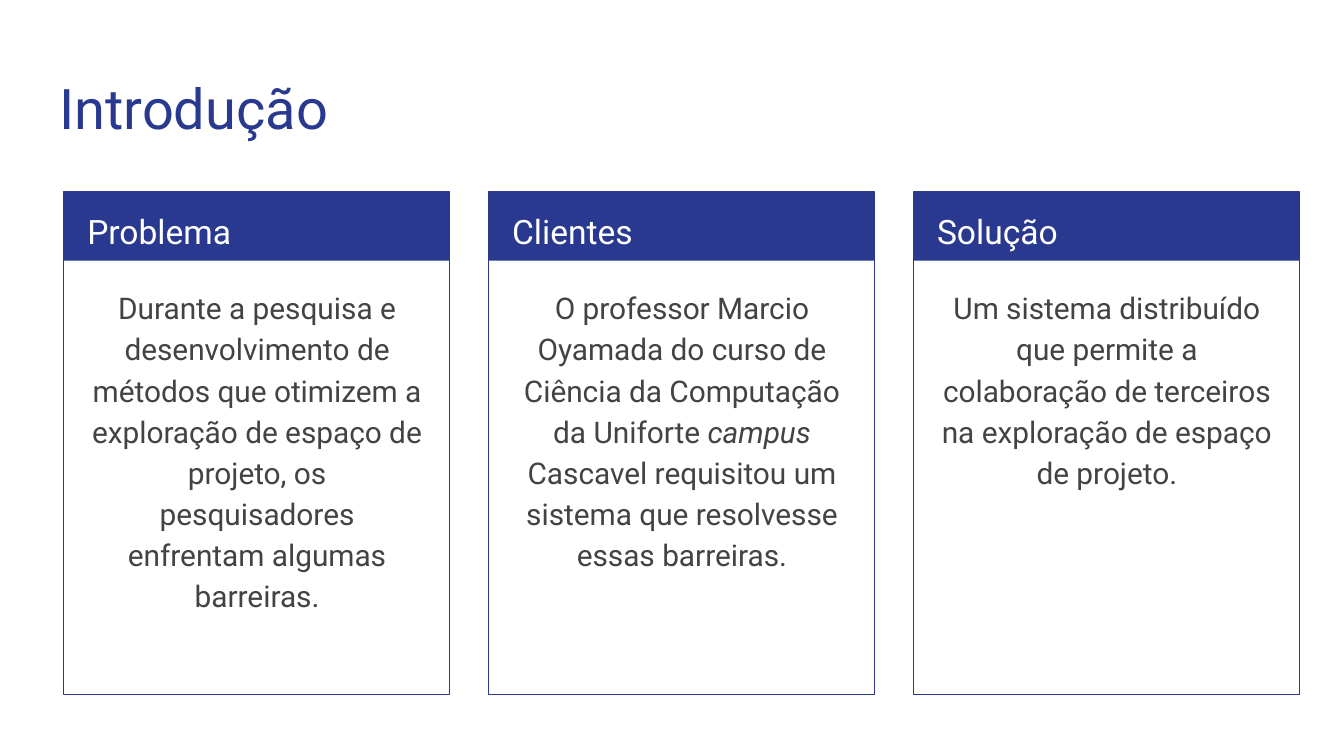
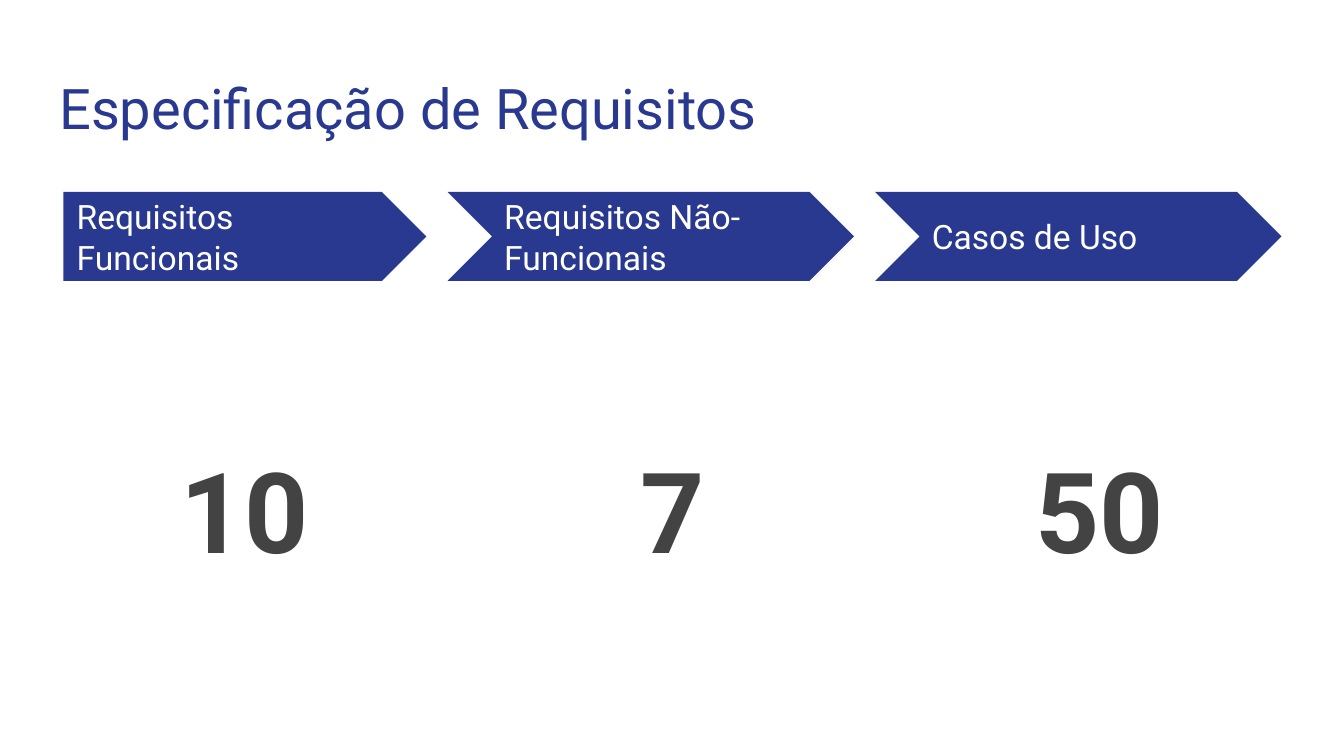
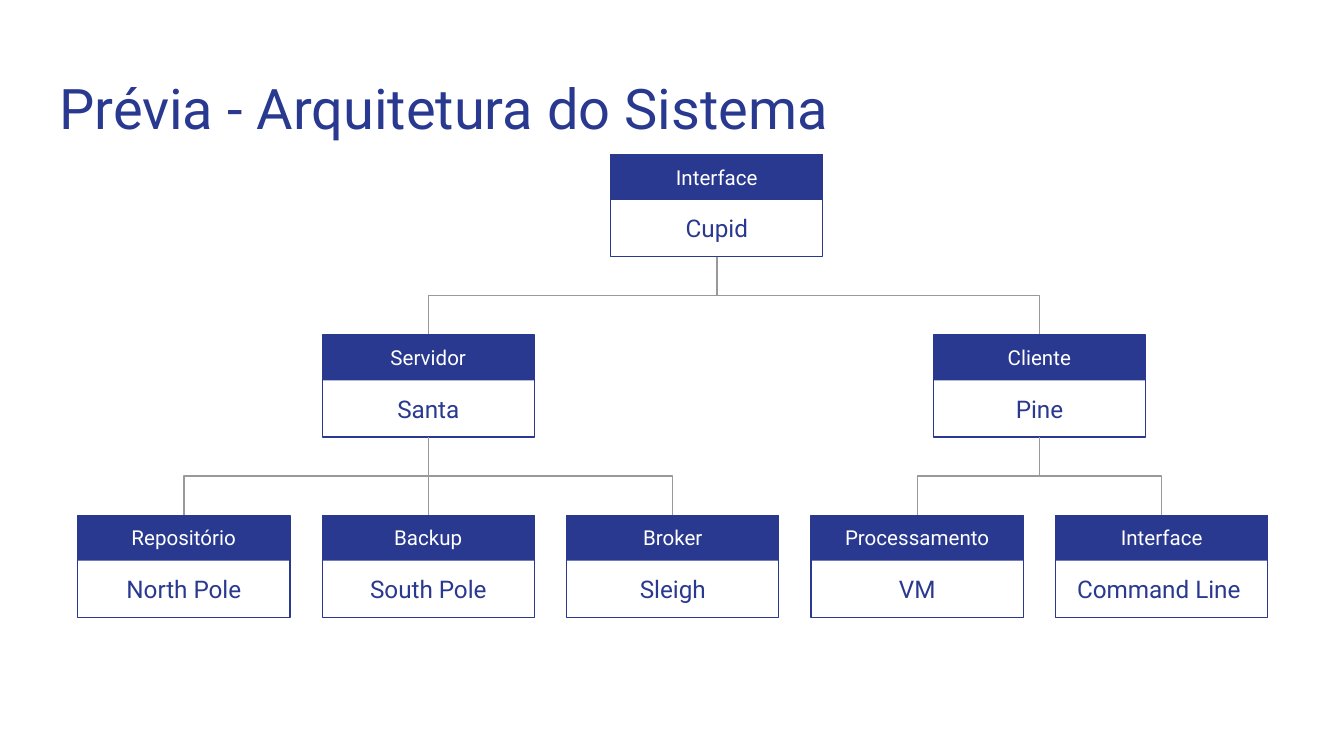
import pptx
import pptx.util
import pptx.dml.color
import pptx.enum.shapes
import pptx.enum.text
import pptx.oxml.ns
import lxml.etree

Cm = pptx.util.Cm
Pt = pptx.util.Pt
SHAPE = pptx.enum.shapes.MSO_SHAPE
CONNECTOR = pptx.enum.shapes.MSO_CONNECTOR
ANCHOR = pptx.enum.text.MSO_ANCHOR
ALIGN = pptx.enum.text.PP_ALIGN
qn = pptx.oxml.ns.qn

# Content: runs are (text, italic)
CARDS = [
    ("Problema", [("Durante a pesquisa e desenvolvimento de métodos que otimizem a "
                   "exploração de espaço de projeto, os pesquisadores enfrentam "
                   "algumas barreiras.", False)]),
    ("Clientes", [("O professor Marcio Oyamada do curso de Ciência da Computação da "
                   "Uniforte ", False),
                  ("campus ", True),
                  ("Cascavel requisitou um sistema que resolvesse essas barreiras.", False)]),
    ("Solução", [("Um sistema distribuído que permite a colaboração de terceiros na "
                  "exploração de espaço de projeto.", False)]),
]
REQUIREMENTS = [("Requisitos Funcionais", "10"),
                ("Requisitos Não-Funcionais", "7"),
                ("Casos de Uso", "50")]
# Components: key -> (role, name, column, row, parent key)
COMPONENTS = {
    "cupid": ("Interface", "Cupid", 2.18, 0, None),
    "santa": ("Servidor", "Santa", 1, 1, "cupid"),
    "pine": ("Cliente", "Pine", 3.5, 1, "cupid"),
    "north": ("Repositório", "North Pole", 0, 2, "santa"),
    "south": ("Backup", "South Pole", 1, 2, "santa"),
    "sleigh": ("Broker", "Sleigh", 2, 2, "santa"),
    "vm": ("Processamento", "VM", 3, 2, "pine"),
    "command": ("Interface", "Command Line ", 4, 2, "pine"),
}

# Shared style
COLORS = {"navy": "2A3990", "white": "FFFFFF", "text": "434343", "line": "999999"}
FONT = "Roboto"
LEFT, TOP = 1.2, 3.63
STYLES = {
    "title": {"font": {"size": Pt(30)}, "color": "navy",
              "para": {"alignment": ALIGN.LEFT, "line_spacing": 1.0}},
    "card head": {"font": {"size": Pt(18)}, "color": "white",
                  "para": {"line_spacing": 1.15}},
    "card body": {"font": {"size": Pt(16)}, "color": "text",
                  "para": {"alignment": ALIGN.CENTER, "line_spacing": 1.15,
                           "space_after": Pt(16)}},
    "step": {"font": {"size": Pt(18)}, "color": "white", "para": {},
             "anchor": ANCHOR.MIDDLE},
    "number": {"font": {"size": Pt(60), "bold": True}, "color": "text",
               "para": {"alignment": ALIGN.CENTER, "line_spacing": 1.15,
                        "space_after": Pt(8)},
               "anchor": ANCHOR.MIDDLE},
    "role": {"font": {"size": Pt(11)}, "color": "white",
             "para": {"alignment": ALIGN.CENTER}, "anchor": ANCHOR.MIDDLE},
    "name": {"font": {"size": Pt(13)}, "color": "navy",
             "para": {"alignment": ALIGN.CENTER}, "anchor": ANCHOR.MIDDLE},
}


def rgb(name):
    return pptx.dml.color.RGBColor.from_string(COLORS[name])


def set_all(target, values):
    for key, value in values.items():
        setattr(target, key, value)


def write(box, runs, style_name):
    style = STYLES[style_name]
    frame = box.text_frame
    inset = Cm(0.25)
    set_all(frame, {"word_wrap": True, "auto_size": pptx.enum.text.MSO_AUTO_SIZE.NONE,
                    "vertical_anchor": style.get("anchor", ANCHOR.TOP),
                    "margin_left": inset, "margin_right": inset,
                    "margin_top": inset, "margin_bottom": inset})
    para = frame.paragraphs[0]
    set_all(para, style["para"])
    for text, italic in runs:
        span = para.add_run()
        span.text = text
        set_all(span.font, {"name": FONT, **style["font"]})
        if italic:
            span.font.italic = True
        span.font.color.rgb = rgb(style["color"])


def add_text(page, left, top, width, height, runs, style_name):
    box = page.shapes.add_textbox(Cm(left), Cm(top), Cm(width), Cm(height))
    write(box, runs, style_name)


def add_block(page, kind, left, top, width, height, filled=True):
    block = page.shapes.add_shape(kind, Cm(left), Cm(top), Cm(width), Cm(height))
    block.shadow.inherit = False
    if filled:
        block.fill.solid()
        block.fill.fore_color.rgb = rgb("navy")
        block.line.fill.background()
    else:
        block.fill.background()
        block.line.color.rgb = rgb("navy")
        block.line.width = Pt(0.75)


def add_panel(page, left, top, width, height, head):
    """Outlined box with a filled band on top."""
    add_block(page, SHAPE.RECTANGLE, left, top, width, height, filled=False)
    add_block(page, SHAPE.RECTANGLE, left, top, width, head)


def add_branch(page, x1, y1, x2, y2):
    """Line down from a parent to a child, bent halfway when they are not aligned."""
    if x1 == x2:
        kind, ends, turn = CONNECTOR.STRAIGHT, (x1, y1, x2, y2), None
    else:
        # A turned elbow: its length runs down, its height runs across
        kind = CONNECTOR.ELBOW
        middle_x, middle_y = (x1 + x2) / 2, (y1 + y2) / 2
        half_down, half_across = (y2 - y1) / 2, abs(x2 - x1) / 2
        side = -1 if x2 < x1 else 1
        ends = (middle_x + side * half_down, middle_y - half_across,
                middle_x - side * half_down, middle_y + half_across)
        turn = 90 if x2 < x1 else 270
    branch = page.shapes.add_connector(kind, *[Cm(value) for value in ends])
    branch.line.color.rgb = rgb("line")
    branch.line.width = Pt(0.75)
    properties = branch._element.spPr
    if turn:
        properties.find(qn("a:xfrm")).set("rot", str(turn * 60000))
    lxml.etree.SubElement(properties, qn("a:effectLst"))


def add_page(deck, title):
    page = deck.slides.add_slide(deck.slide_layouts[5])
    box = page.shapes.title
    set_all(box, {"left": Cm(0.87), "top": Cm(1.14), "width": Cm(23.67), "height": Cm(1.68)})
    write(box, [(title, False)], "title")
    return page


deck = pptx.Presentation()
deck.slide_width, deck.slide_height = Cm(25.4), Cm(14.29)

# Introduction: three cards
page = add_page(deck, "Introdução")
for index, (head, body) in enumerate(CARDS):
    left = LEFT + index * 8.03
    add_panel(page, left, TOP, 7.3, 9.5, 1.3)
    add_text(page, left + 0.2, TOP, 6.93, 1.27, [(head, False)], "card head")
    add_text(page, left + 0.22, TOP + 1.5, 6.88, 7.77, body, "card body")

# Requirements: arrows with a count below each
page = add_page(deck, "Especificação de Requisitos")
for index, (label, count) in enumerate(REQUIREMENTS):
    left = LEFT + index * 8.08
    kind, notch = (SHAPE.CHEVRON, 0.82) if index else (SHAPE.PENTAGON, 0)
    add_block(page, kind, left - notch, TOP, 6.86 + notch, 1.68)
    add_text(page, left, TOP + 0.41, 6.27, 0.86, [(label, False)], "step")
    add_text(page, left, TOP + 2.11, 6.86, 7.37, [(count, False)], "number")

# Architecture: component tree
page = add_page(deck, "Prévia - Arquitetura do Sistema")
NODE_WIDTH, NODE_HEIGHT = 4.01, 1.93


def node_corner(key):
    column, row = COMPONENTS[key][2:4]
    return 1.47 + column * 4.62, 2.92 + row * 3.41


for key, (role, name, column, row, parent) in COMPONENTS.items():
    left, top = node_corner(key)
    if parent:
        parent_left, parent_top = node_corner(parent)
        add_branch(page, parent_left + NODE_WIDTH / 2, parent_top + NODE_HEIGHT,
                   left + NODE_WIDTH / 2, top)
    add_panel(page, left, top, NODE_WIDTH, NODE_HEIGHT, 0.86)
    add_text(page, left, top + 0.16, NODE_WIDTH, 0.53, [(role, False)], "role")
    add_text(page, left, top + 1.13, NODE_WIDTH, 0.53, [(name, False)], "name")

deck.save("out.pptx")
